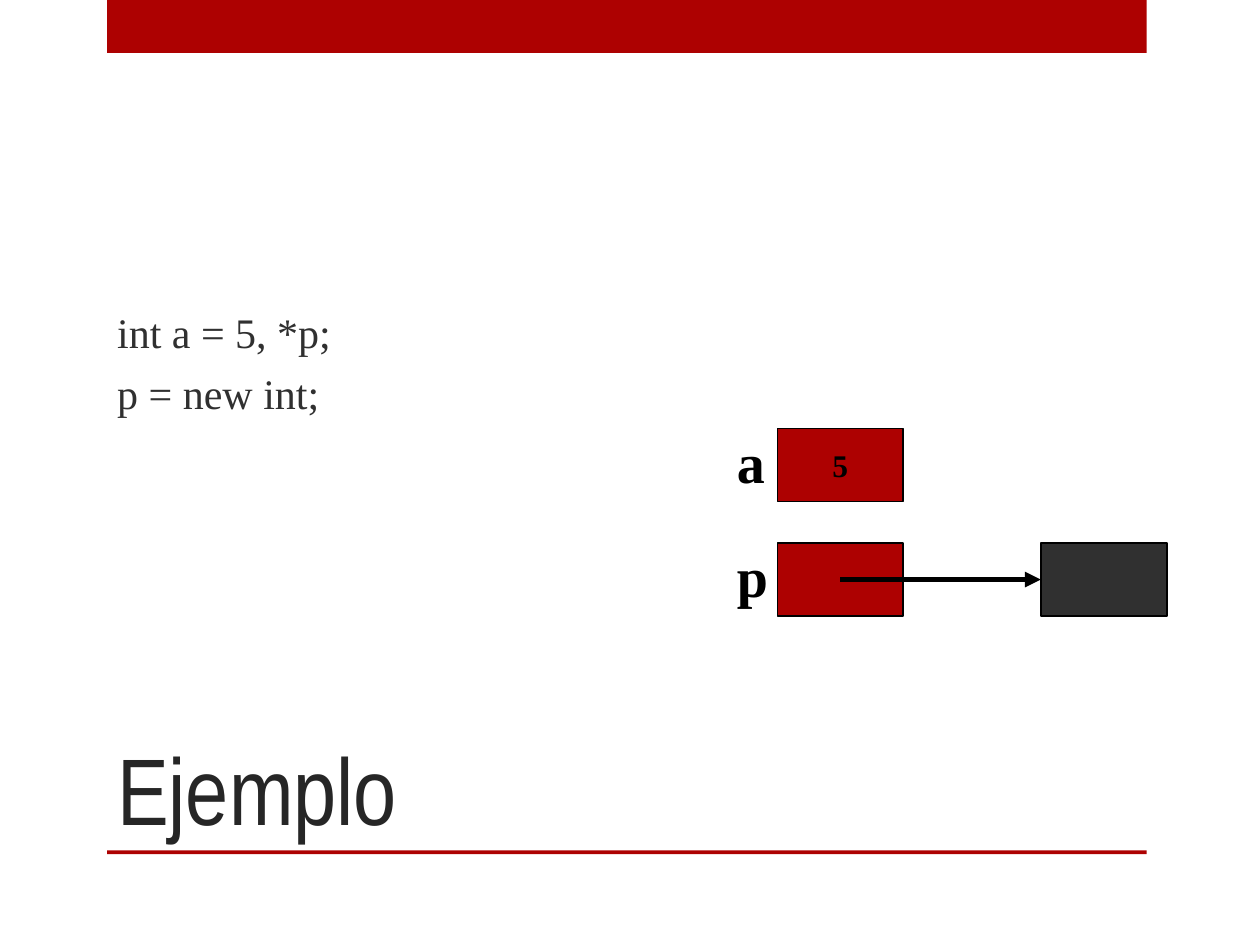
from dataclasses import dataclass

from lxml import etree
from pptx import Presentation
from pptx.dml.color import RGBColor
from pptx.enum.shapes import MSO_CONNECTOR, MSO_SHAPE
from pptx.enum.text import MSO_ANCHOR, MSO_AUTO_SIZE, PP_ALIGN
from pptx.oxml.ns import qn
from pptx.util import Inches, Pt

RECTANGLE = MSO_SHAPE.RECTANGLE
STRAIGHT = MSO_CONNECTOR.STRAIGHT
LEFT, CENTER = PP_ALIGN.LEFT, PP_ALIGN.CENTER
TOP, MIDDLE, BOTTOM = MSO_ANCHOR.TOP, MSO_ANCHOR.MIDDLE, MSO_ANCHOR.BOTTOM
NO_AUTOFIT = MSO_AUTO_SIZE.NONE
LEFT_SIDE = 1


@dataclass(frozen=True)
class Theme:
    accent: RGBColor = RGBColor(0xAD, 0x01, 0x01)
    dark: RGBColor = RGBColor(0x30, 0x30, 0x30)
    heading: RGBColor = RGBColor(0x26, 0x26, 0x26)
    ink: RGBColor = RGBColor(0, 0, 0)
    heading_font: str = "Arial Narrow"
    text_font: str = "Times New Roman"
    title_size: Pt = Pt(54)
    code_size: Pt = Pt(24)
    code_gap: Pt = Pt(6)
    label_size: Pt = Pt(32)
    value_size: Pt = Pt(18)
    outline: Pt = Pt(1)
    arrow: Pt = Pt(3)


THEME = Theme()


def place(shape, box):
    shape.left, shape.top, shape.width, shape.height = map(Inches, box)


def add_span(para, text, font, size, color, bold=False):
    span = para.add_run()
    span.text = text
    span.font.name = font
    span.font.size = size
    span.font.color.rgb = color
    span.font.bold = bold


def add_rectangle(page, box, fill, outlined=False):
    shape = page.shapes.add_shape(RECTANGLE, *map(Inches, box))
    shape.shadow.inherit = False
    shape.fill.solid()
    shape.fill.fore_color.rgb = fill
    if outlined:
        shape.line.color.rgb = THEME.ink
        shape.line.width = THEME.outline
    else:
        shape.line.fill.background()
    return shape


def add_bars(page, box):
    """Draw the band at the top of the box and the rule at its bottom."""
    left, top, width, height = box
    rule = 0.03
    add_rectangle(page, (left, top, width, 0.42), THEME.accent)
    add_rectangle(page, (left, top + height - rule, width, rule), THEME.accent)


def fill_title(page, box, text):
    title = page.shapes.title
    place(title, box)
    frame = title.text_frame
    frame.auto_size = NO_AUTOFIT
    frame.vertical_anchor = BOTTOM
    para = frame.paragraphs[0]
    para.alignment = LEFT
    add_span(para, text, THEME.heading_font, THEME.title_size, THEME.heading)


def fill_code(page, box, lines):
    body = page.placeholders[1]
    place(body, box)
    frame = body.text_frame
    frame.auto_size = NO_AUTOFIT
    frame.vertical_anchor = MIDDLE
    for number, line in enumerate(lines):
        para = frame.add_paragraph() if number else frame.paragraphs[0]
        properties = para._p.get_or_add_pPr()
        properties.set("marL", str(Inches(0.3)))
        properties.set("indent", str(Inches(-0.3)))
        etree.SubElement(properties, qn("a:buNone"))
        para.space_before = THEME.code_gap if number else Pt(0)
        add_span(para, line, THEME.text_font, THEME.code_size, THEME.dark)


def add_label(page, box, text):
    label = page.shapes.add_textbox(*map(Inches, box))
    frame = label.text_frame
    frame.word_wrap = False
    frame.vertical_anchor = TOP
    add_span(frame.paragraphs[0], text, THEME.text_font, THEME.label_size,
             THEME.ink, bold=True)


def add_pointer(page, start, target):
    """Draw an arrow from the centre of one cell to the left side of another."""
    middle = start.top + start.height // 2
    arrow = page.shapes.add_connector(
        STRAIGHT, start.left + start.width // 2, middle, target.left, middle)
    arrow.end_connect(target, LEFT_SIDE)
    arrow.line.color.rgb = THEME.ink
    arrow.line.width = THEME.arrow
    etree.SubElement(arrow.line._get_or_add_ln(), qn("a:tailEnd"), type="triangle")
    etree.SubElement(arrow._element.spPr, qn("a:effectLst"))


def add_memory_diagram(page, box):
    left, top, width, height = box
    cell_width, cell_height = 1, 0.58
    cell_left = left + 0.42
    cell_tops = (top + 0.07, top + height - cell_height)

    cells = []
    for name, cell_top in zip("ap", cell_tops):
        cells.append(add_rectangle(
            page, (cell_left, cell_top, cell_width, cell_height), THEME.accent, True))
        add_label(page, (left, cell_top - 0.06, 0.44, 0.63), name)
    value_cell, pointer_cell = cells

    frame = value_cell.text_frame
    frame.word_wrap = False
    frame.vertical_anchor = MIDDLE
    para = frame.paragraphs[0]
    para.alignment = CENTER
    add_span(para, "5", THEME.text_font, THEME.value_size, THEME.ink, bold=True)

    new_cell = add_rectangle(
        page, (left + width - cell_width, cell_tops[1], cell_width, cell_height),
        THEME.dark, True)
    add_pointer(page, pointer_cell, new_cell)


def main():
    deck = Presentation()
    deck.slide_width, deck.slide_height = Inches(10), Inches(7.5)
    page = deck.slides.add_slide(deck.slide_layouts[1])
    add_bars(page, (0.85, 0, 8.25, 6.78))
    fill_title(page, (0.83, 5, 7.42, 1.75), "Ejemplo")
    fill_code(page, (0.83, 0.75, 8.25, 4.25), ["int a = 5, *p;", "p = new int;"])
    add_memory_diagram(page, (5.75, 3.33, 3.51, 1.56))
    deck.save("out.pptx")


if __name__ == "__main__":
    main()
